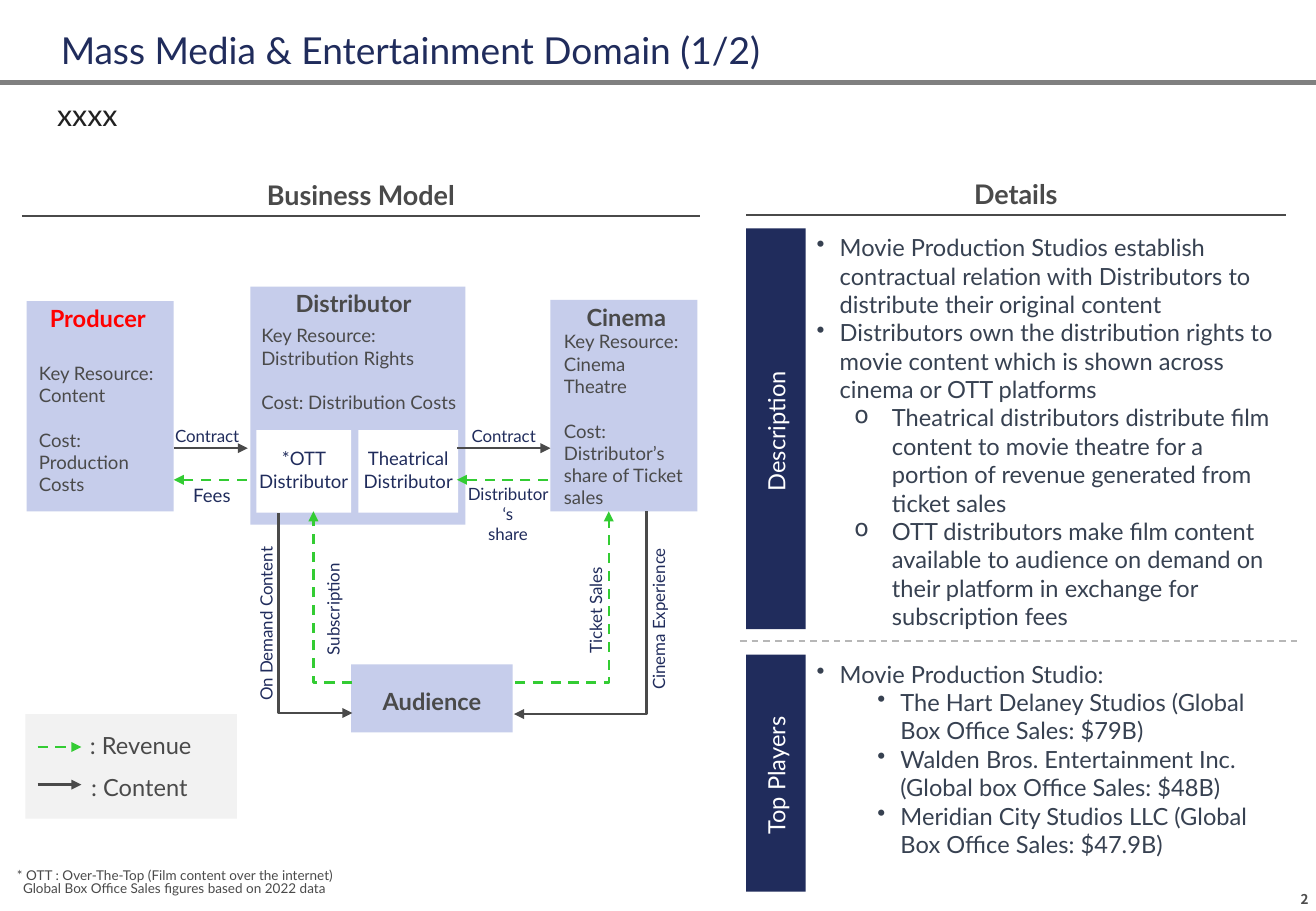
from dataclasses import dataclass
from typing import Any, Optional

from lxml.etree import SubElement
from pptx import Presentation
from pptx.dml.color import RGBColor
from pptx.enum.dml import MSO_LINE
from pptx.enum.shapes import MSO_CONNECTOR, MSO_SHAPE
from pptx.enum.text import MSO_ANCHOR, MSO_AUTO_SIZE, PP_ALIGN
from pptx.oxml.ns import qn
from pptx.util import Inches, Pt

COLOURS = {"navy": "202C5C", "text": "4A4A4A", "black": "212121", "slate": "374151",
           "lilac": "C6CDEB", "white": "FFFFFF", "red": "FF0000", "revenue": "33CC33",
           "rule": "808080", "divider": "B7B7B7", "legend": "F2F2F2", "number": "4D4D4D"}
LEFT, CENTER, RIGHT = PP_ALIGN.LEFT, PP_ALIGN.CENTER, PP_ALIGN.RIGHT
TOP, MIDDLE, BOTTOM = MSO_ANCHOR.TOP, MSO_ANCHOR.MIDDLE, MSO_ANCHOR.BOTTOM


@dataclass
class Line:
    text: str
    indent: float = 0
    hanging: float = 0
    bullet: str = ""
    level: int = 0
    before: float = 0


@dataclass
class Label:
    lines: list[Line]
    at: tuple[float, float, float, float]
    size: float = 11
    colour: str = "text"
    bold: bool = False
    align: Any = LEFT
    anchor: Any = TOP
    insets: tuple[float, float, float, float] = (0.04, 0.04, 0.04, 0)
    spacing: float = 1
    font: str = "Lato"
    fill: Optional[str] = None
    rotation: float = 0
    vertical: bool = False


@dataclass
class Stroke:
    start: tuple[float, float]
    end: tuple[float, float]
    colour: str = "text"
    width: float = 1.5
    dashed: bool = False
    arrow: Optional[str] = "tailEnd"
    bent: bool = False


def apply(target: Any, values: dict[str, Any]) -> None:
    for name, value in values.items():
        setattr(target, name, value)


def rgb(name: str) -> RGBColor:
    return RGBColor.from_string(COLOURS[name])


def lines(*texts: str, before: float = 0) -> list[Line]:
    return [Line(text, before=before if index else 0) for index, text in enumerate(texts)]


def write(box: Any, label: Label) -> None:
    frame = box.text_frame
    left, top, right, bottom = map(Inches, label.insets)
    apply(frame, {"word_wrap": True, "auto_size": MSO_AUTO_SIZE.NONE,
                  "vertical_anchor": label.anchor, "margin_left": left,
                  "margin_top": top, "margin_right": right, "margin_bottom": bottom})
    if label.vertical:
        frame._txBody.bodyPr.set("vert", "vert270")
    for index, line in enumerate(label.lines):
        para = frame.add_paragraph() if index else frame.paragraphs[0]
        apply(para, {"alignment": label.align, "line_spacing": label.spacing,
                     "space_before": Pt(line.before), "level": line.level})
        span = para.add_run()
        span.text = line.text
        apply(span.font, {"name": label.font, "size": Pt(label.size), "bold": label.bold})
        span.font.color.rgb = rgb(label.colour)
        if line.indent:
            properties = para._p.get_or_add_pPr()
            properties.set("marL", str(Inches(line.indent)))
            properties.set("indent", str(-Inches(line.hanging)))
            if line.bullet:
                SubElement(properties, qn("a:buChar")).set("char", line.bullet)


def place(page: Any, label: Label) -> None:
    bounds = map(Inches, label.at)
    if label.fill:
        box = page.shapes.add_shape(MSO_SHAPE.RECTANGLE, *bounds)
        box.shadow.inherit = False
        box.fill.solid()
        box.fill.fore_color.rgb = rgb(label.fill)
        box.line.fill.background()
    else:
        box = page.shapes.add_textbox(*bounds)
    box.rotation = label.rotation
    if label.lines:
        write(box, label)


def draw(page: Any, stroke: Stroke) -> None:
    kind = MSO_CONNECTOR.ELBOW if stroke.bent else MSO_CONNECTOR.STRAIGHT
    connector = page.shapes.add_connector(kind, *map(Inches, stroke.start + stroke.end))
    connector.line.color.rgb = rgb(stroke.colour)
    connector.line.width = Pt(stroke.width)
    if stroke.dashed:
        connector.line.dash_style = MSO_LINE.DASH
    if stroke.arrow:
        SubElement(connector.line._get_or_add_ln(), qn(f"a:{stroke.arrow}")).set("type", "triangle")
    properties = connector._element.spPr
    if stroke.bent:
        properties.find(qn("a:prstGeom")).set("prst", "bentConnector2")
    SubElement(properties, qn("a:effectLst"))


def revenue(start: tuple[float, float], end: tuple[float, float], bent: bool = False) -> Stroke:
    return Stroke(start, end, "revenue", dashed=True, bent=bent)


def block(name: str, at: tuple[float, float, float, float], colour: str = "text") -> Label:
    return Label(lines(name), at, 14, colour, True, CENTER)


def sideways(text: str, centre: tuple[float, float], length: float) -> Label:
    x, y = centre
    return Label(lines(text), (x - length / 2, y - 0.1, length, 0.21), 10, "navy",
                 align=CENTER, rotation=270)


def bullets(first_indent: float, hanging: float, mark: str, top: list[str], sub: list[str]) -> list[Line]:
    return ([Line(text, 0.19, 0.19, "•") for text in top]
            + [Line(text, first_indent, hanging, mark, 1) for text in sub])


deck = Presentation()
deck.slide_width, deck.slide_height = Inches(10.83), Inches(7.5)
page = deck.slides.add_slide(deck.slide_layouts[5])

title = page.shapes.title
apply(title, dict(zip(("left", "top", "width", "height"), map(Inches, (0.5, 0.17, 9.83, 0.43)))))
write(title, Label(lines("Mass Media & Entertainment Domain (1/2)"), (0.5, 0.17, 9.83, 0.43),
                   22, "navy", anchor=BOTTOM, insets=(0, 0, 0, 0), spacing=0.9))
draw(page, Stroke((0, 0.68), (10.83, 0.68), "rule", 3, arrow=None))
place(page, Label(lines("xxxx"), (0.47, 0.75, 10.1, 0.34), 18, "black", insets=(0, 0.04, 0, 0)))

for heading, left, right, bottom in (("Business Model", 0.18, 5.76, 1.78), ("Details", 6.14, 10.58, 1.77)):
    place(page, Label(lines(heading), (left, bottom - 0.35, right - left, 0.35), 16, bold=True,
                      align=CENTER, anchor=BOTTOM, insets=(0.04, 0.04, 0.04, 0.04)))
    draw(page, Stroke((left, bottom), (right, bottom), width=1, arrow=None))

for bounds, fill in (((0.22, 2.48, 1.21, 1.73), "lilac"), ((2.06, 2.36, 1.77, 1.96), "lilac"),
                     ((4.53, 2.47, 1.21, 1.74), "lilac"), ((0.21, 5.88, 1.74, 0.86), "legend")):
    place(page, Label([], bounds, fill=fill))

for name, left, width in (("*OTT Distributor", 2.11, 0.78), ("Theatrical Distributor", 2.95, 0.82)):
    place(page, Label(lines(name), (left, 3.54, width, 0.68), 11, "navy", align=CENTER,
                      anchor=MIDDLE, insets=(0, 0, 0, 0.03), fill="white"))

LABELS = [
    block("Producer", (0.25, 2.46, 1.11, 0.28), "red"),
    block("Distributor", (2.09, 2.34, 1.64, 0.28)),
    block("Cinema", (4.6, 2.45, 1.11, 0.28)),
    Label(lines("Audience"), (2.89, 5.47, 1.33, 0.56), 14, bold=True, align=CENTER,
          anchor=MIDDLE, fill="lilac"),
    Label(lines("Key Resource: Content", "Cost: Production Costs", before=13.2), (0.28, 2.94, 1.05, 1.15)),
    Label(lines("Key Resource: Distribution Rights", "Cost: Distribution Costs", before=13.2),
          (2.11, 2.63, 1.72, 0.78)),
    Label(lines("Key Resource: Cinema Theatre", "Cost: Distributor’s share of Ticket sales", before=13.2),
          (4.6, 2.68, 1.11, 1.52)),
    Label(lines("Contract"), (1.4, 3.46, 0.82, 0.21), 10, "navy"),
    Label(lines("Contract"), (3.84, 3.46, 0.82, 0.21), 10, "navy"),
    Label(lines("Fees"), (1.55, 3.94, 0.46, 0.22), 11, "navy"),
    Label(lines("Distributor ‘s", "share"), (3.77, 3.94, 0.82, 0.54), 10, "navy", align=CENTER),
    sideways("On Demand Content", (2.17, 5.13), 1.5),
    sideways("Subscription", (2.72, 5.01), 0.92),
    sideways("Ticket Sales", (4.88, 5.02), 0.92),
    sideways("Cinema Experience", (5.4, 5.09), 1.26),
    Label(lines(": Revenue"), (0.7, 5.98, 1.05, 0.28), 14),
    Label(lines(": Content"), (0.71, 6.32, 1.05, 0.28), 14),
    Label([Line("* OTT : Over-The-Top (Film content over the internet)"),
           Line("Global Box Office Sales figures based on 2022 data", 0.05)],
          (0.06, 7.08, 4.57, 0.4), 8, anchor=BOTTOM, insets=(0.08, 0.04, 0.08, 0.1), spacing=0.8),
    Label(lines("2"), (10.43, 7.3, 0.4, 0.2), 8, "number", True, RIGHT, BOTTOM,
          (0.04, 0.03, 0.06, 0.03), 0.9, "Noto Sans CJK JP"),
]
STROKES = [
    Stroke((1.43, 3.69), (2.04, 3.69)),
    Stroke((3.76, 3.69), (4.53, 3.69)),
    revenue((2.03, 3.95), (1.43, 3.95)),
    revenue((4.51, 3.95), (3.76, 3.95)),
    Stroke((2.9, 5.87), (2.29, 4.22), arrow="headEnd", bent=True),
    Stroke((4.23, 5.88), (5.32, 4.21), arrow="headEnd", bent=True),
    revenue((2.9, 5.62), (2.58, 4.21), bent=True),
    revenue((4.24, 5.62), (5.01, 4.21), bent=True),
    revenue((0.31, 6.15), (0.67, 6.15)),
    Stroke((0.31, 6.46), (0.67, 6.46)),
    Stroke((6.09, 5.28), (10.67, 5.28), "divider", 1, True, None),
]
for label in LABELS:
    place(page, label)
for stroke in STROKES:
    draw(page, stroke)

DETAILS = (
    ("Description", 1.88, 3.3, bullets(0.62, 0.31, "o", [
        "Movie Production Studios establish contractual relation with Distributors to distribute their original content",
        "Distributors own the distribution rights to movie content which is shown across cinema or OTT platforms",
    ], [
        "Theatrical distributors distribute film content to movie theatre for a portion of revenue generated from ticket sales",
        "OTT distributors make film content available to audience on demand on their platform in exchange for subscription fees",
    ])),
    ("Top Players", 5.39, 1.95, bullets(0.69, 0.19, "•", ["Movie Production Studio:"], [
        "The Hart Delaney Studios (Global Box Office Sales: $79B)",
        "Walden Bros. Entertainment Inc. (Global box Office Sales: $48B)",
        "Meridian City Studios LLC (Global Box Office Sales: $47.9B)",
    ])),
)
for name, top, height, content in DETAILS:
    place(page, Label(lines(name), (6.14, top, 0.49, height), 14, "white", align=CENTER,
                      anchor=MIDDLE, fill="navy", vertical=True))
    place(page, Label(content, (6.68, top, 3.88, height), 14, "slate"))

deck.save("out.pptx")
